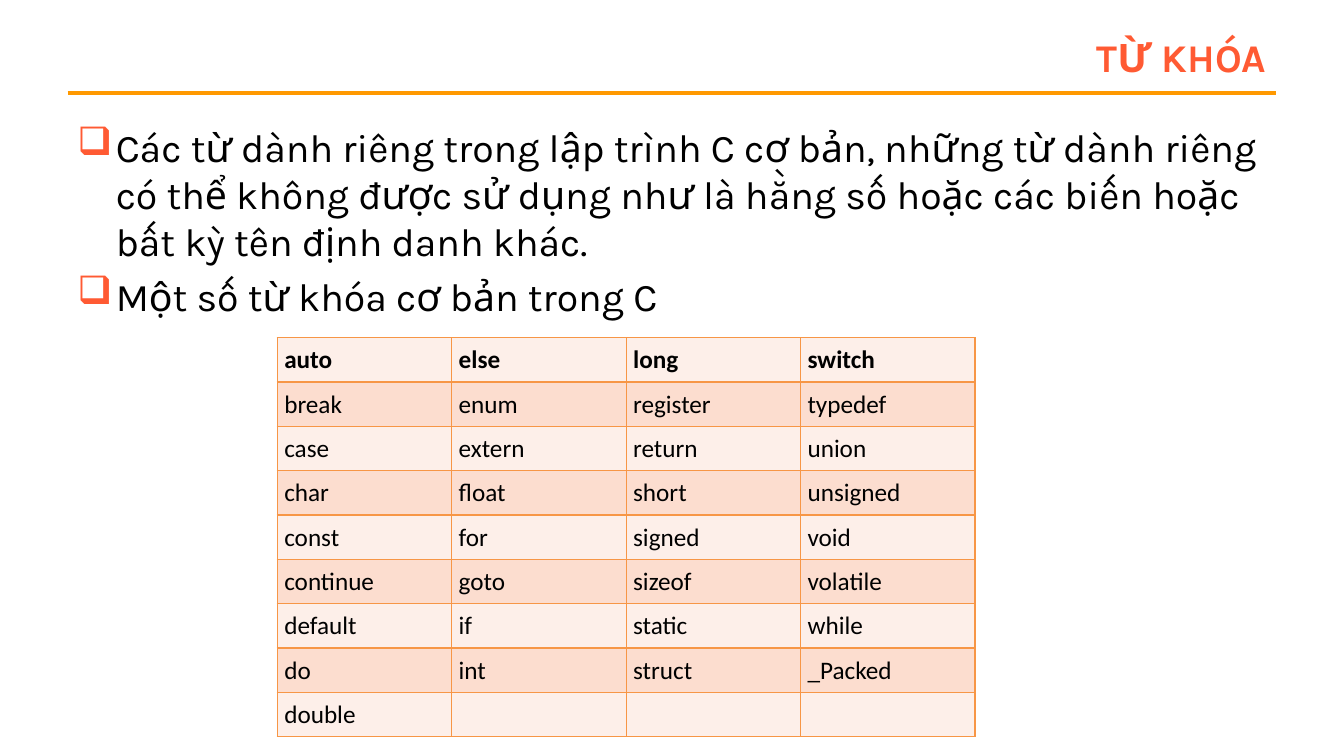
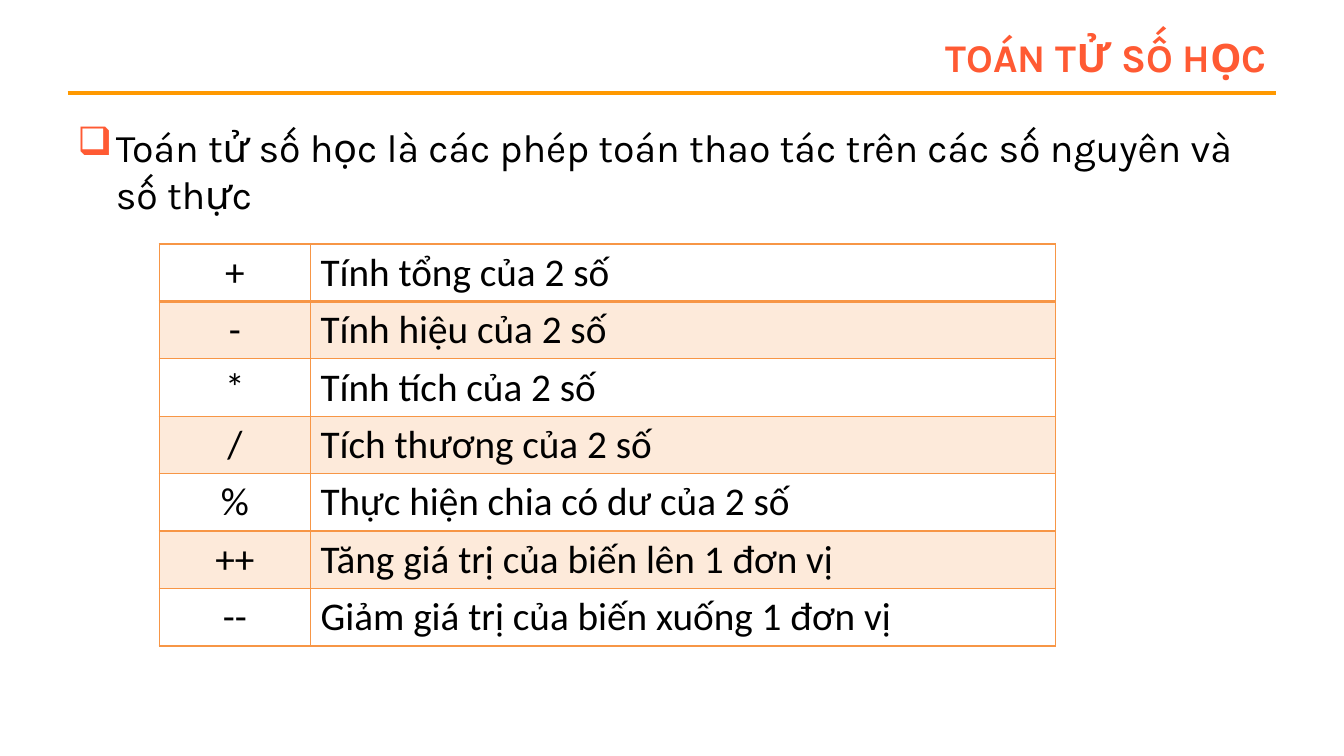
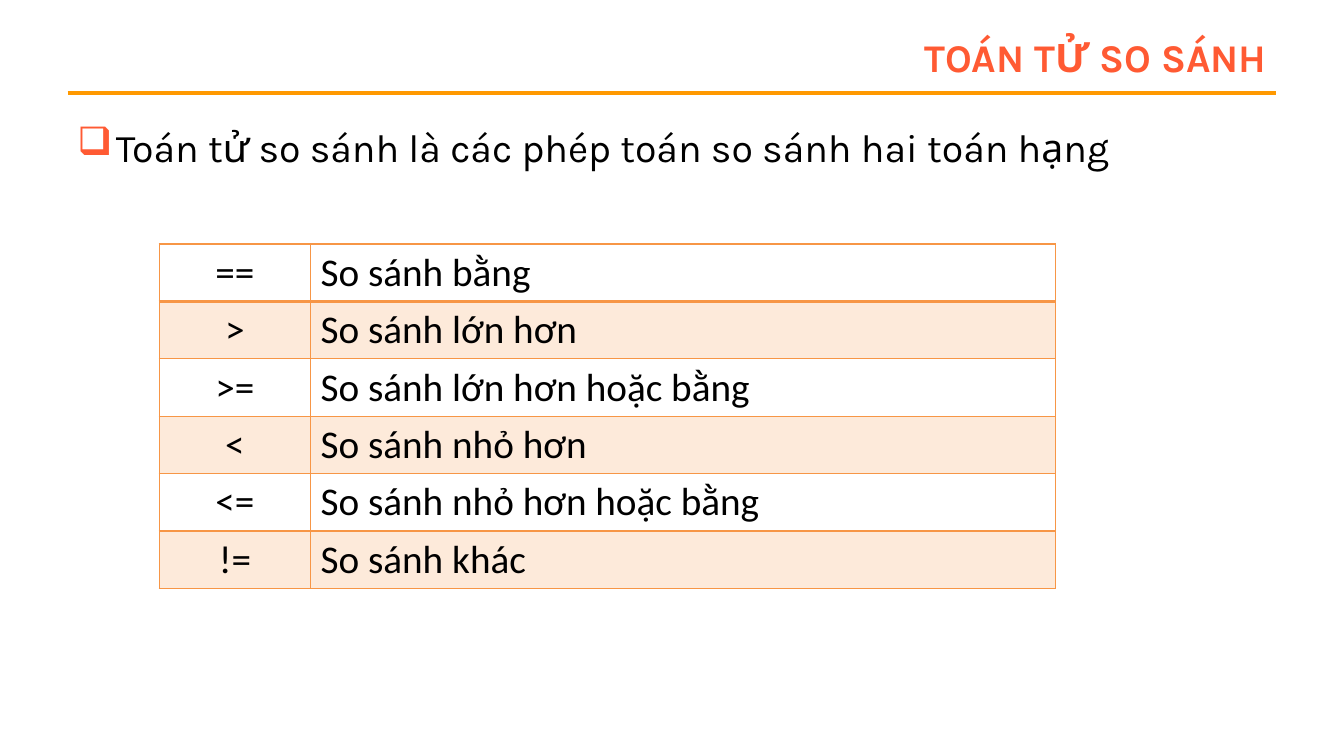
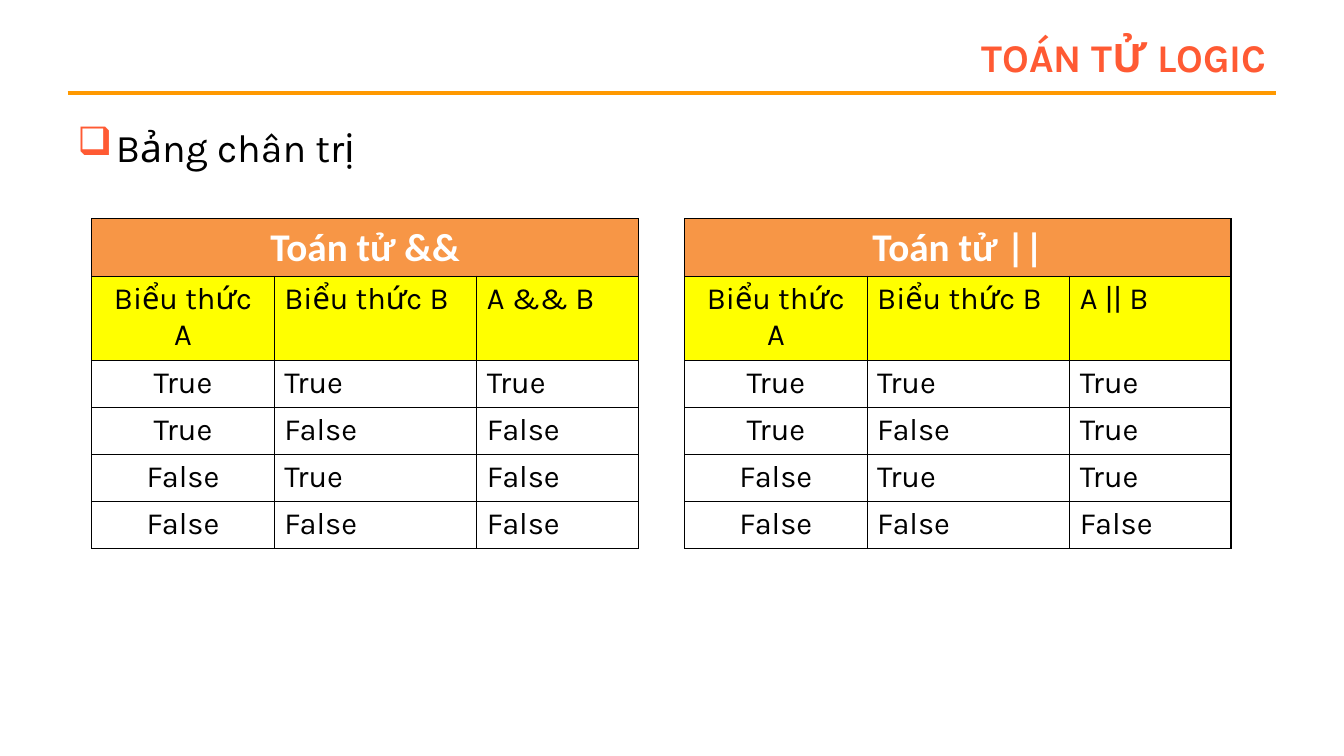
from lxml.etree import SubElement
from pptx import Presentation
from pptx.dml.color import RGBColor
from pptx.enum.shapes import MSO_CONNECTOR
from pptx.enum.text import MSO_ANCHOR, PP_ALIGN
from pptx.oxml.ns import qn
from pptx.util import Inches, Pt

ACCENT = "FF5A33"
RULE = "FF9900"
ORANGE = "F79646"
PALE = "FDEADA"
BLACK = "000000"
WHITE = "FFFFFF"
YELLOW = "FFFF00"
BANDS = ("FDEFE9", "FCDDCF")
HEAD_FONT = "Karla"
CELL_FONT = "Calibri"


def color(code):
    return RGBColor.from_string(code)


def style(para, size, font, code=BLACK, bold=False):
    for run in para.runs:
        run.font.size = Pt(size)
        run.font.name = font
        run.font.bold = bold
        run.font.color.rgb = color(code)


def bullet(para):
    """Give the paragraph a hanging square bullet in the accent colour."""
    props = para._p.get_or_add_pPr()
    props.set("marL", str(Inches(0.38)))
    props.set("indent", str(Inches(-0.38)))
    tint = SubElement(props, qn("a:buClr"))
    SubElement(tint, qn("a:srgbClr"), val=ACCENT)
    SubElement(props, qn("a:buChar"), char="❑")


def border(cell, code, top=1, bottom=1):
    """Draw the four edges; must run before the cell gets its fill."""
    props = cell._tc.get_or_add_tcPr()
    for side, width in (("L", 1), ("R", 1), ("T", top), ("B", bottom)):
        line = SubElement(props, qn("a:ln" + side), w=str(Pt(width)))
        fill = SubElement(line, qn("a:solidFill"))
        SubElement(fill, qn("a:srgbClr"), val=code)


class Deck:
    def __init__(self):
        self.show = Presentation()
        self.show.slide_width = Inches(13.33)
        self.show.slide_height = Inches(7.5)
        self.slide = None

    def page(self, title, *points):
        """Start a slide with its title, rule and bullet points."""
        self.slide = self.show.slides.add_slide(self.show.slide_layouts[5])
        self.title(title)
        self.rule()
        self.points(points)

    def title(self, text):
        shape = self.slide.shapes.title
        shape.left, shape.top = Inches(3), Inches(0.3)
        shape.width, shape.height = Inches(9.66), Inches(0.53)
        frame = shape.text_frame
        frame.text = text
        frame.vertical_anchor = MSO_ANCHOR.MIDDLE
        para = frame.paragraphs[0]
        para.alignment = PP_ALIGN.RIGHT
        style(para, 28, HEAD_FONT, ACCENT, True)

    def rule(self):
        line = self.slide.shapes.add_connector(
            MSO_CONNECTOR.STRAIGHT,
            Inches(0.67), Inches(0.92), Inches(12.66), Inches(0.92))
        line.line.color.rgb = color(RULE)
        line.line.width = Pt(3)
        SubElement(line._element.spPr, qn("a:effectLst"))

    def points(self, texts):
        box = self.slide.shapes.add_textbox(
            Inches(0.67), Inches(1.17), Inches(12), Inches(5.75))
        frame = box.text_frame
        frame.word_wrap = True
        frame.text = "\n".join(texts)
        for para in frame.paragraphs:
            para.space_before = Pt(5.6)
            bullet(para)
            style(para, 28, HEAD_FONT)

    def grid(self, left, top, cols, heights, rows, paint):
        """Add a table; paint(cell, row, col) styles each filled cell."""
        table = self.slide.shapes.add_table(
            len(rows), len(cols), Inches(left), Inches(top),
            Inches(sum(cols)), Inches(sum(heights))).table
        table.first_row = table.horz_banding = False
        for col, width in zip(table.columns, cols):
            col.width = Inches(width)
        for row, height in zip(table.rows, heights):
            row.height = Inches(height)
        for r, texts in enumerate(rows):
            for c, text in enumerate(texts):
                cell = table.cell(r, c)
                cell.text_frame.text = text
                paint(cell, r, c)
        return table

    def words(self, rows):
        """Keyword table with two alternating tints."""
        def paint(cell, r, c):
            border(cell, ORANGE)
            cell.margin_left = cell.margin_right = Inches(0.07)
            cell.margin_top = cell.margin_bottom = Inches(0.07)
            self.fill(cell, BANDS[r % 2])
            style(cell.text_frame.paragraphs[0], 18, CELL_FONT, bold=r == 0)

        self.grid(2.75, 3.35, [1.73] * 4, [0.43] * len(rows), rows, paint)

    def signs(self, rows):
        """Operator table: sign on the left, meaning on the right."""
        def paint(cell, r, c):
            border(cell, ORANGE, 2 if r == 1 else 1, 2 if r == 0 else 1)
            self.fill(cell, PALE if r % 2 else None)
            self.text(cell, c, 28, CELL_FONT)

        self.grid(1.58, 2.42, [1.5, 7.39], [0.57] * len(rows), rows, paint)

    def truth(self, left, sign, results):
        """Truth table of one logical operator."""
        pairs = [("True", "True"), ("True", "False"),
                 ("False", "True"), ("False", "False")]
        rows = [(f"Toán tử {sign}", "", ""),
                ("Biểu thức A", "Biểu thức B", f"A {sign} B")]
        rows += [(*pair, out) for pair, out in zip(pairs, results)]

        def paint(cell, r, c):
            border(cell, BLACK)
            self.fill(cell, {0: ORANGE, 1: YELLOW}.get(r))
            if r == 0:
                self.text(cell, c, 28, CELL_FONT, WHITE, True)
            else:
                self.text(cell, c, 22, HEAD_FONT)

        table = self.grid(left, 2.17, [1.81, 2.01, 1.6],
                          [0.57, 0.81] + [0.45] * 4, rows, paint)
        table.cell(0, 0).merge(table.cell(0, 2))

    def fill(self, cell, code):
        if code:
            cell.fill.solid()
            cell.fill.fore_color.rgb = color(code)
        else:
            cell.fill.background()

    def text(self, cell, col, *look):
        """Style a cell, centring the first column."""
        para = cell.text_frame.paragraphs[0]
        if col == 0:
            para.alignment = PP_ALIGN.CENTER
        style(para, *look)


def main():
    deck = Deck()

    deck.page("TỪ KHÓA",
              "Các từ dành riêng trong lập trình C cơ bản, những từ dành "
              "riêng có thể không được sử dụng như là hằng số hoặc các biến "
              "hoặc bất kỳ tên định danh khác.",
              "Một số từ khóa cơ bản trong C")
    deck.words([
        ("auto", "else", "long", "switch"),
        ("break", "enum", "register", "typedef"),
        ("case", "extern", "return", "union"),
        ("char", "float", "short", "unsigned"),
        ("const", "for", "signed", "void"),
        ("continue", "goto", "sizeof", "volatile"),
        ("default", "if", "static", "while"),
        ("do", "int", "struct", "_Packed"),
        ("double", "", "", ""),
    ])

    deck.page("TOÁN TỬ SỐ HỌC",
              "Toán tử số học là các phép toán thao tác trên các số nguyên "
              "và số thực")
    deck.signs([
        ("+", "Tính tổng của 2 số"),
        ("-", "Tính hiệu của 2 số"),
        ("*", "Tính tích của 2 số"),
        ("/", "Tích thương của 2 số"),
        ("%", "Thực hiện chia có dư của 2 số"),
        ("++", "Tăng giá trị của biến lên 1 đơn vị"),
        ("--", "Giảm giá trị của biến xuống 1 đơn vị"),
    ])

    deck.page("TOÁN TỬ SO SÁNH",
              "Toán tử so sánh là các phép toán so sánh hai toán hạng")
    deck.signs([
        ("==", "So sánh bằng"),
        (">", "So sánh lớn hơn"),
        (">=", "So sánh lớn hơn hoặc bằng"),
        ("<", "So sánh nhỏ hơn"),
        ("<=", "So sánh nhỏ hơn hoặc bằng"),
        ("!=", "So sánh khác"),
    ])

    deck.page("TOÁN TỬ LOGIC", "Bảng chân trị")
    deck.truth(0.91, "&&", ("True", "False", "False", "False"))
    deck.truth(6.79, "||", ("True", "True", "True", "False"))

    deck.show.save("out.pptx")


if __name__ == "__main__":
    main()
